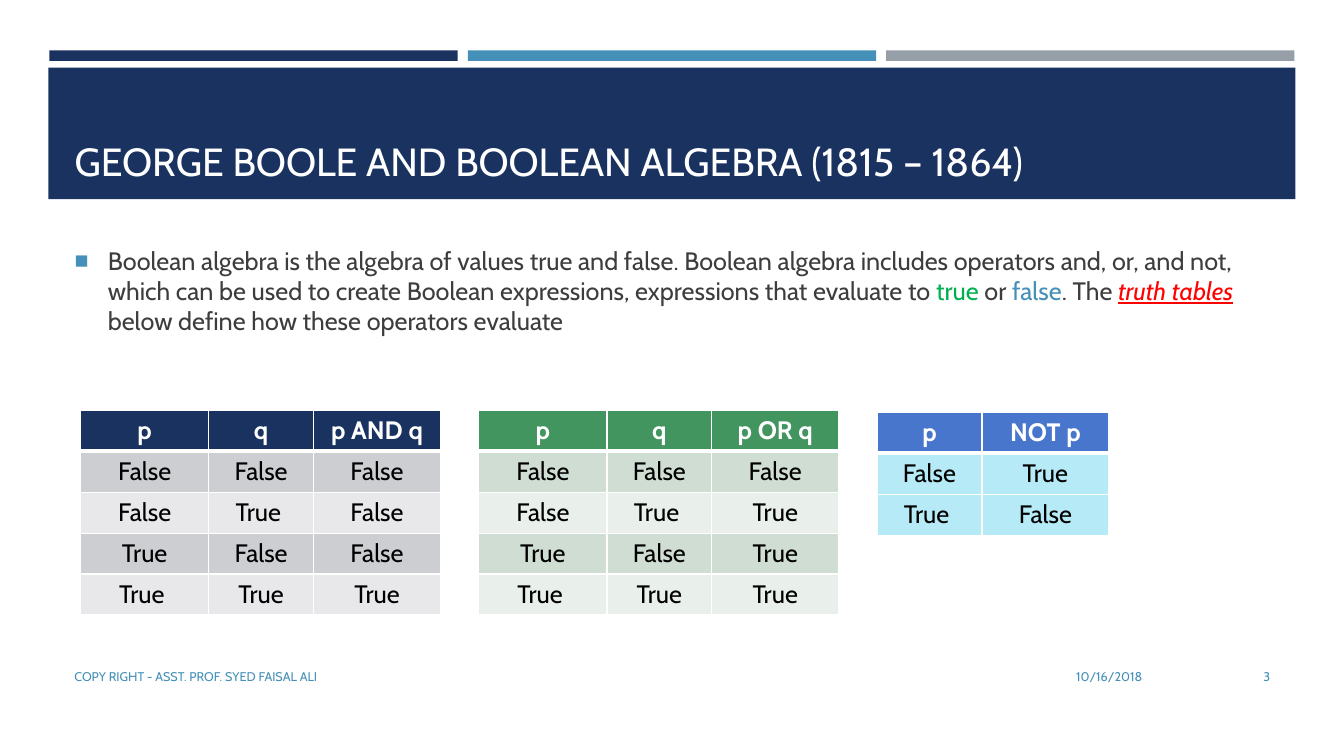
from lxml.etree import SubElement
from pptx import Presentation
from pptx.dml.color import RGBColor
from pptx.enum.shapes import MSO_SHAPE
from pptx.enum.text import MSO_ANCHOR as Anchor, MSO_AUTO_SIZE as AutoSize, PP_ALIGN as Align
from pptx.oxml import parse_xml
from pptx.oxml.ns import nsdecls, qn
from pptx.util import Inches, Pt

NAVY, BLUE, GREY, TEXT, WHITE = "1A3260", "4590B8", "969FA7", "3D3D3D", "FFFFFF"
MARGIN, CONTENT_WIDTH = 4.8, 90.45  # percent of the slide's width


def color(hex_string):
    return RGBColor.from_string(hex_string)


class SlideBuilder:
    """Places elements on one slide; lengths are percentages of its size."""

    font_name = "Cabin"

    def __init__(self, presentation):
        self.width = presentation.slide_width
        self.height = presentation.slide_height
        self.slide = presentation.slides.add_slide(presentation.slide_layouts[1])

    def across(self, share):
        return round(self.width * share / 100)

    def down(self, share):
        return round(self.height * share / 100)

    def box(self, left, top, width, height):
        return self.across(left), self.down(top), self.across(width), self.down(height)

    def add_run(self, paragraph, text, size, hex_color, bold=False, emphasis=False):
        run = paragraph.add_run()
        run.text = text
        font = run.font
        font.name, font.size, font.bold = self.font_name, Pt(size), bold
        font.italic = font.underline = emphasis
        font.color.rgb = color(hex_color)

    def bar(self, area, fill):
        shape = self.slide.shapes.add_shape(MSO_SHAPE.RECTANGLE, *self.box(*area))
        shape.shadow.inherit = False
        shape.fill.solid()
        shape.fill.fore_color.rgb = color(fill)
        shape.line.fill.background()
        # Placeholders stay in front of the bars
        tree = self.slide.shapes.title.element.getparent()
        tree.remove(shape.element)
        self.slide.shapes.title.element.addprevious(shape.element)

    def fill_text(self, shape, area, anchor, align, runs, size):
        shape.left, shape.top, shape.width, shape.height = self.box(*area)
        frame = shape.text_frame
        frame.word_wrap, frame.auto_size = True, AutoSize.NONE
        frame.vertical_anchor = anchor
        paragraph = frame.paragraphs[0]
        paragraph.alignment = align
        for text, hex_color, emphasis in runs:
            self.add_run(paragraph, text, size, hex_color, emphasis=emphasis)
        return paragraph

    def title(self, area, text):
        self.fill_text(self.slide.shapes.title, area, Anchor.BOTTOM, Align.LEFT,
                       [(text, WHITE, False)], 28)

    def bullet(self, area, runs):
        body = self.slide.placeholders[1]
        paragraph = self.fill_text(body, area, Anchor.TOP, Align.LEFT, runs, 18)
        paragraph.space_before, paragraph.space_after = Pt(3.6), Pt(6)
        properties = paragraph._p.get_or_add_pPr()
        indent = Inches(0.33)
        properties.set("marL", str(indent))
        properties.set("indent", str(-indent))
        bullet_color = SubElement(properties, qn("a:buClr"))
        SubElement(bullet_color, qn("a:srgbClr"), val=BLUE)
        SubElement(properties, qn("a:buSzPct"), val="92000")
        SubElement(properties, qn("a:buFont"), typeface="Arial")
        SubElement(properties, qn("a:buChar"), char="■")

    def footer(self, left, width, text, align):
        shape = self.slide.shapes.add_textbox(0, 0, 0, 0)
        self.fill_text(shape, (left, 86.8, width, 5.33), Anchor.MIDDLE, align,
                       [(text, BLUE, False)], 9)

    def borders(self, cell, top, bottom):
        properties = cell._tc.get_or_add_tcPr()
        sides = {"lnL": 1, "lnR": 1, "lnT": top, "lnB": bottom}
        for index, (side, points) in enumerate(sides.items()):
            properties.insert(index, parse_xml(
                f'<a:{side} {nsdecls("a")} w="{Pt(points)}"><a:solidFill>'
                f'<a:srgbClr val="{WHITE}"/></a:solidFill></a:{side}>'))

    def truth_table(self, left, top, columns, rows, header_fill, bands):
        row_height = 5.42
        area = self.box(left, top, sum(columns), row_height * len(rows))
        table = self.slide.shapes.add_table(len(rows), len(columns), *area).table
        for column, width in zip(table.columns, columns):
            column.width = self.across(width)
        for row_index, values in enumerate(rows):
            table.rows[row_index].height = self.down(row_height)
            header = row_index == 0
            fill = header_fill if header else bands[(row_index - 1) % len(bands)]
            for column_index, value in enumerate(values):
                cell = table.cell(row_index, column_index)
                cell.fill.solid()
                cell.fill.fore_color.rgb = color(fill)
                self.borders(cell, 3 if row_index == 1 else 1, 3 if header else 1)
                paragraph = cell.text_frame.paragraphs[0]
                paragraph.alignment = Align.CENTER
                self.add_run(paragraph, value, 18, WHITE if header else "000000", bold=header)


def main():
    presentation = Presentation()
    presentation.slide_width, presentation.slide_height = Inches(13.333), Inches(7.5)
    builder = SlideBuilder(presentation)

    # Top stripes and title banner
    for index, fill in enumerate((NAVY, BLUE, GREY)):
        builder.bar((3.68 + 31.13 * index, 6.67, 30.38, 1.4), fill)
    builder.bar((3.6, 8.93, 92.78, 17.4), NAVY)
    builder.title((MARGIN, 10.27, CONTENT_WIDTH, 14.8),
                  "GEORGE BOOLE AND BOOLEAN ALGEBRA (1815 – 1864)")

    # Explanation
    builder.bullet((MARGIN, 31.73, CONTENT_WIDTH, 19.73), [
        ("Boolean algebra is the algebra of values true and false. Boolean algebra "
         "includes operators and, or, and not, which can be used to create Boolean "
         "expressions, expressions that evaluate to ", TEXT, False),
        ("true", "00B050", False),
        (" or ", TEXT, False),
        ("false", BLUE, False),
        (". The ", TEXT, False),
        ("truth tables ", "FF0000", True),
        ("below define how these operators evaluate", TEXT, False),
    ])

    # Footer
    builder.footer(62.4, 23.33, "10/16/2018", Align.RIGHT)
    builder.footer(MARGIN, 56.7, "COPY RIGHT - ASST. PROF. SYED FAISAL ALI", Align.LEFT)
    builder.footer(86.63, 8.63, "3", Align.RIGHT)

    # Truth tables
    inputs = [("False", "False"), ("False", "True "), ("True", "False"), ("True ", "True")]
    binary_tables = [
        ("p AND q", ("False", "False", "False", "True"), NAVY, ("CDCED2", "E8E8EA")),
        ("p OR q", ("False", "True", "True", "True"), "42955F", ("CFDDD2", "E9EFEA")),
    ]
    columns = (9.53, 7.8, 9.45)
    first_left, pitch = 6, 29.63
    for index, (name, results, header_fill, bands) in enumerate(binary_tables):
        rows = [("p", "q", name)] + [(*pair, result) for pair, result in zip(inputs, results)]
        builder.truth_table(first_left + pitch * index, 54.27, columns, rows, header_fill, bands)
    builder.truth_table(first_left + pitch * 2, 54.53, columns[1:],
                        [("p", "NOT p"), ("False", "True"), ("True ", "False")],
                        "4876CD", ("B5EAF6",))

    presentation.save("out.pptx")


if __name__ == "__main__":
    main()
